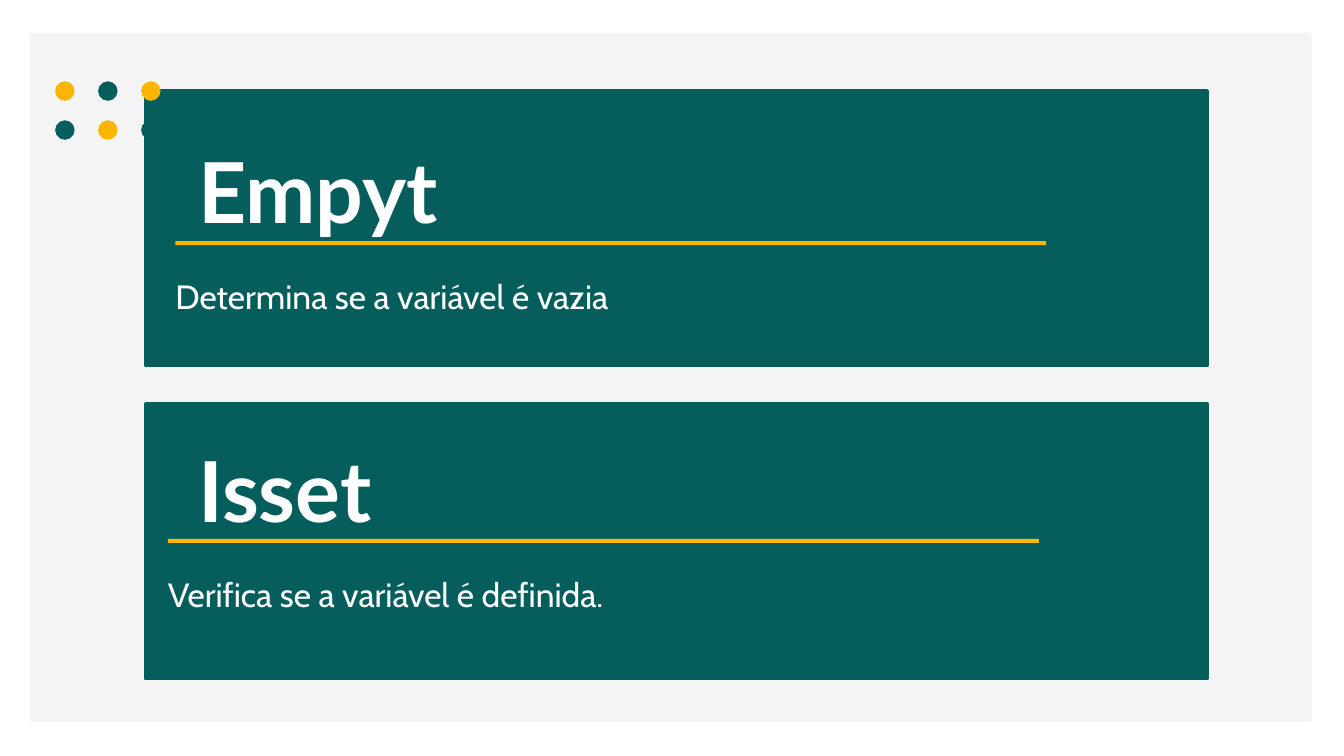
import pptx
import pptx.util
import pptx.dml.color
import pptx.enum.shapes
import pptx.enum.text
from dataclasses import dataclass

PX = 9144
KIND = pptx.enum.shapes.MSO_SHAPE
ALIGN = pptx.enum.text.PP_ALIGN


@dataclass(frozen=True)
class Theme:
    page: str = "F4F4F4"
    teal: str = "055E5C"
    gold: str = "FDB600"
    white: str = "FFFFFF"
    head: tuple = ("Lato", 90, True)
    body: tuple = ("Cabin", 36, False)


THEME = Theme()


def color(code):
    return pptx.dml.color.RGBColor.from_string(code)


def draw(slide, kind, box, fill, edge=0):
    shape = slide.shapes.add_shape(kind, *(n * PX for n in box))
    shape.shadow.inherit = False
    shape.fill.solid()
    shape.fill.fore_color.rgb = color(fill)
    if edge:
        shape.line.color.rgb = color(fill)
        shape.line.width = pptx.util.Pt(edge)
    else:
        shape.line.fill.background()


def write(slide, box, text, style, align):
    frame = slide.shapes.add_textbox(*(n * PX for n in box)).text_frame
    frame.margin_left = frame.margin_right = 0
    frame.margin_top = frame.margin_bottom = 0
    frame.word_wrap = True
    frame.text = text
    para = frame.paragraphs[0]
    para.alignment = align
    para.line_spacing = 1.5
    font = para.runs[0].font
    font.name, size, font.bold = style
    font.size = pptx.util.Pt(size)
    font.color.rgb = color(THEME.white)


def card(slide, box, title, note, inset, lift, rule, align):
    left, top, wide, high = box
    edge = left + inset
    draw(slide, KIND.RECTANGLE, box, THEME.teal, 3.75)
    write(slide, (edge, top + rule + 22, 886, 91), note, THEME.body, align)
    draw(slide, KIND.RECTANGLE, (edge, top + rule, 1296, 6), THEME.gold)
    write(slide, (left + 78, top - lift, 795, 227), title, THEME.head, align)


def dots(slide, left, top):
    tones = (THEME.gold, THEME.teal)
    for row in range(2):
        for col in range(3):
            spot = (left + col * 64, top + row * 58, 29, 29)
            draw(slide, KIND.OVAL, spot, tones[(row + col) % 2])


def main():
    deck = pptx.Presentation()
    deck.slide_width, deck.slide_height = 2000 * PX, 1125 * PX
    slide = deck.slides.add_slide(deck.slide_layouts[6])
    draw(slide, KIND.RECTANGLE, (45, 49, 1907, 1025), THEME.page)
    card(slide, (217, 135, 1579, 409), "Empyt",
         "Determina se a variável é vazia", 44, 3, 224, ALIGN.LEFT)
    card(slide, (217, 601, 1579, 409), "Isset",
         "Verifica se a variável é definida.", 33, 23, 201, ALIGN.JUSTIFY)
    dots(slide, 82, 121)
    deck.save("out.pptx")


if __name__ == "__main__":
    main()
